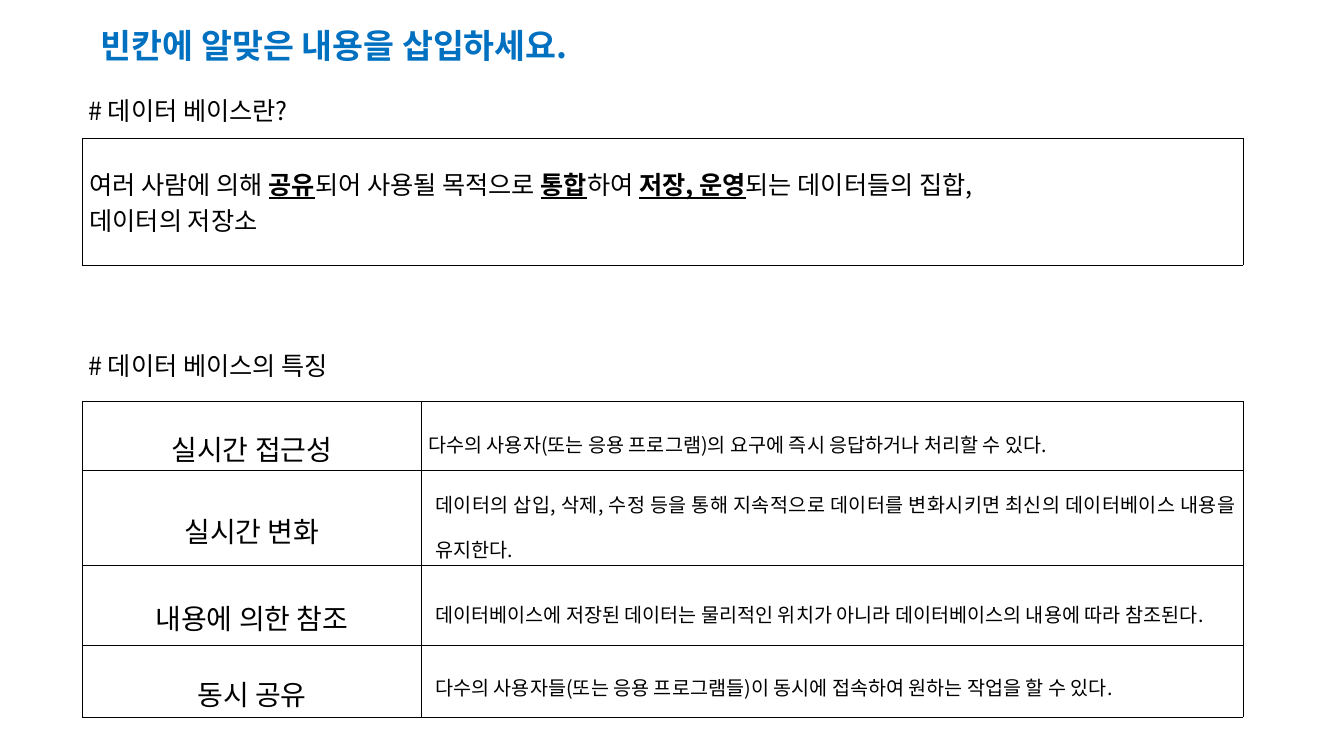
from dataclasses import dataclass

from lxml.etree import SubElement
from pptx import Presentation
from pptx.dml.color import RGBColor
from pptx.enum.text import MSO_ANCHOR, MSO_AUTO_SIZE, PP_ALIGN
from pptx.oxml.ns import qn
from pptx.util import Pt

COLORS = {"text": "000000", "title": "0070C0", "border": "000000"}
FONT = "Noto Sans CJK KR"
TABLE_LEFT = 59
LABEL_WIDTH, DETAIL_WIDTH = 242, 586.8
BORDER_WIDTH = 0.28


@dataclass
class Heading:
    text: str
    left: float
    top: float
    width: float
    height: float
    size: float = 18
    color: str = "text"
    bold: bool = False


@dataclass
class Feature:
    label: str
    detail: str
    height: float
    indent: float = 5
    spacing: float = 1.6
    space_before: float = 0


HEADINGS = [
    Heading("# 데이터 베이스란?", 56, 64.8, 174, 29),
    Heading("# 데이터 베이스의 특징", 56, 247, 208, 29),
    Heading("빈칸에 알맞은 내용을 삽입하세요.", 65, 14.4, 386, 36, 24, "title", True),
]

# Each line is a list of (text, is answer) spans
DEFINITION = [
    [("여러 사람에 의해 ", False), ("공유", True), ("되어 사용될 목적으로 ", False),
     ("통합", True), ("하여 ", False), ("저장, 운영", True),
     ("되는 데이터들의 집합, ", False)],
    [("데이터의 저장소", False)],
]

FEATURES = [
    Feature("실시간 접근성",
            "다수의 사용자(또는 응용 프로그램)의 요구에 즉시 응답하거나 처리할 수 있다. ",
            42.5, indent=0),
    Feature("실시간 변화",
            "데이터의 삽입, 삭제, 수정 등을 통해 지속적으로 데이터를 변화시키면 "
            "최신의 데이터베이스 내용을 유지한다.", 57),
    Feature("내용에 의한 참조",
            "데이터베이스에 저장된 데이터는 물리적인 위치가 아니라 "
            "데이터베이스의 내용에 따라 참조된다. ", 57),
    Feature("동시 공유",
            "다수의 사용자들(또는 응용 프로그램들)이 동시에 접속하여 원하는 작업을 할 수 있다.",
            51, spacing=1.4, space_before=5),
]


def style_para(para, size: float, color: str = "text", bold: bool = False) -> None:
    font = para.font
    font.name, font.size, font.bold = FONT, Pt(size), bold
    font.color.rgb = RGBColor.from_string(COLORS[color])
    # East Asian typeface
    properties = para._p.get_or_add_pPr().find(qn("a:defRPr"))
    SubElement(properties, qn("a:ea"), typeface=FONT)


def style_cell(cell) -> None:
    cell.margin_left = cell.margin_right = Pt(5)
    cell.margin_top = cell.margin_bottom = Pt(1.4)
    cell.vertical_anchor = MSO_ANCHOR.MIDDLE
    properties = cell._tc.get_or_add_tcPr()
    for side in ("lnL", "lnR", "lnT", "lnB"):
        line = SubElement(properties, qn(f"a:{side}"), w=str(Pt(BORDER_WIDTH)))
        fill = SubElement(line, qn("a:solidFill"))
        SubElement(fill, qn("a:srgbClr"), val=COLORS["border"])
    cell.fill.background()


def add_grid(page, top: float, widths: list[float], heights: list[float]):
    frame = page.shapes.add_table(len(heights), len(widths), Pt(TABLE_LEFT), Pt(top),
                                  Pt(sum(widths)), Pt(sum(heights)))
    table = frame.table
    table.first_row = table.horz_banding = False
    for column, width in zip(table.columns, widths):
        column.width = Pt(width)
    for row, height in zip(table.rows, heights):
        row.height = Pt(height)
    for cell in table.iter_cells():
        style_cell(cell)
    return table


def add_heading(page, heading: Heading) -> None:
    box = page.shapes.add_textbox(Pt(heading.left), Pt(heading.top),
                                  Pt(heading.width), Pt(heading.height))
    box.text_frame.word_wrap = False
    box.text_frame.auto_size = MSO_AUTO_SIZE.SHAPE_TO_FIT_TEXT
    para = box.text_frame.paragraphs[0]
    para.text = heading.text
    style_para(para, heading.size, heading.color, heading.bold)


def add_definition(page) -> None:
    table = add_grid(page, 98.6, [LABEL_WIDTH + DETAIL_WIDTH], [90.7])
    frame = table.cell(0, 0).text_frame
    for index, line in enumerate(DEFINITION):
        para = frame.add_paragraph() if index else frame.paragraphs[0]
        style_para(para, 18)
        for text, is_answer in line:
            span = para.add_run()
            span.text = text
            if is_answer:
                span.font.bold = span.font.underline = True


def fill_cell(cell, text: str, size: float, align: PP_ALIGN, spacing: float):
    para = cell.text_frame.paragraphs[0]
    para.text = text
    para.alignment, para.line_spacing = align, spacing
    style_para(para, size)
    return para


def add_features(page) -> None:
    table = add_grid(page, 286.6, [LABEL_WIDTH, DETAIL_WIDTH],
                     [feature.height for feature in FEATURES])
    for index, feature in enumerate(FEATURES):
        fill_cell(table.cell(index, 0), feature.label, 20, PP_ALIGN.CENTER, 1.6)
        para = fill_cell(table.cell(index, 1), feature.detail, 14,
                         PP_ALIGN.JUSTIFY, feature.spacing)
        para.space_before = Pt(feature.space_before)
        properties = para._p.get_or_add_pPr()
        properties.set("marL", str(Pt(feature.indent)))
        properties.set("indent", "0")


deck = Presentation()
deck.slide_width, deck.slide_height = Pt(960), Pt(540)
page = deck.slides.add_slide(deck.slide_layouts[6])

# Tables
add_definition(page)
add_features(page)

# Title and section headings
for heading in HEADINGS:
    add_heading(page, heading)

deck.save("out.pptx")
